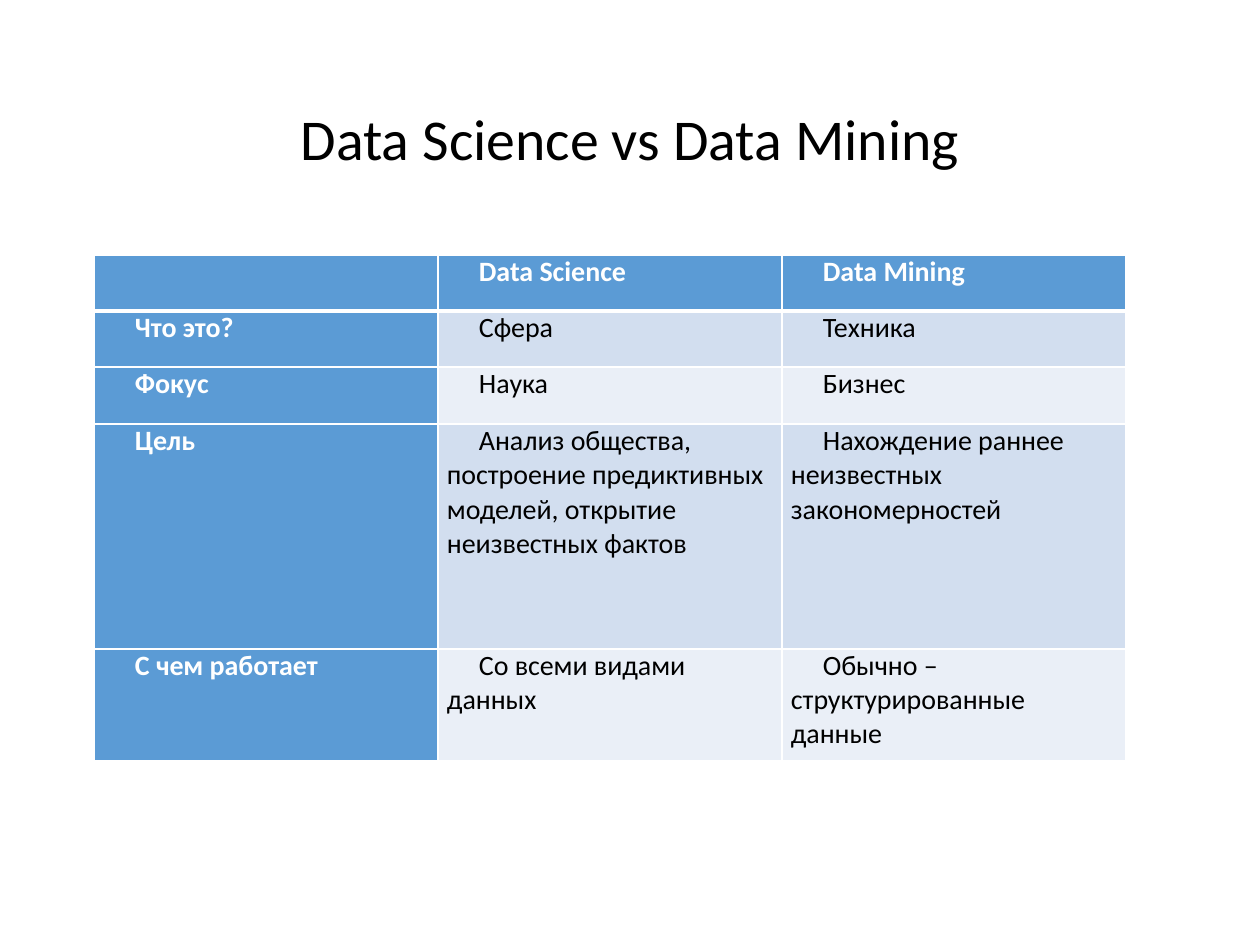
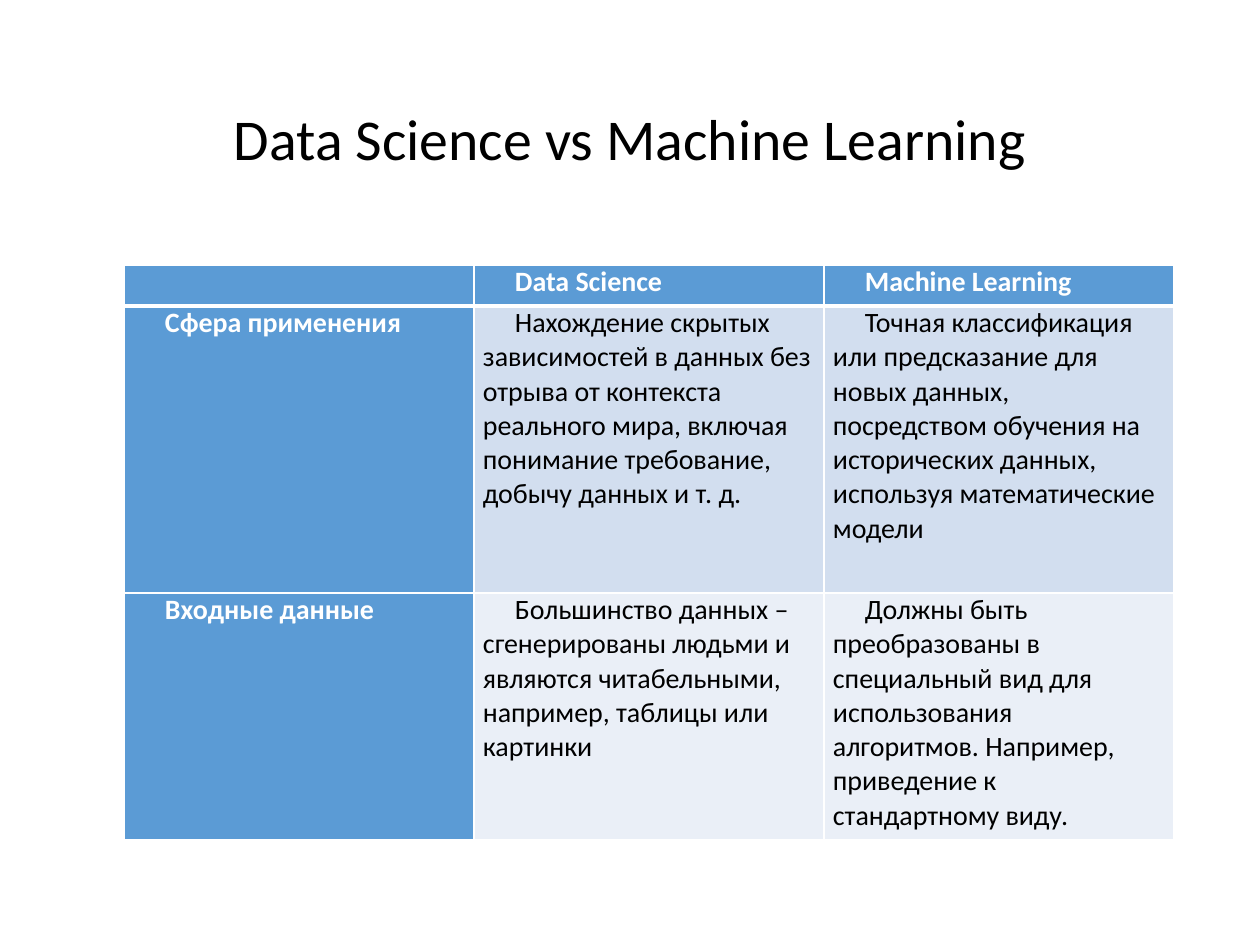
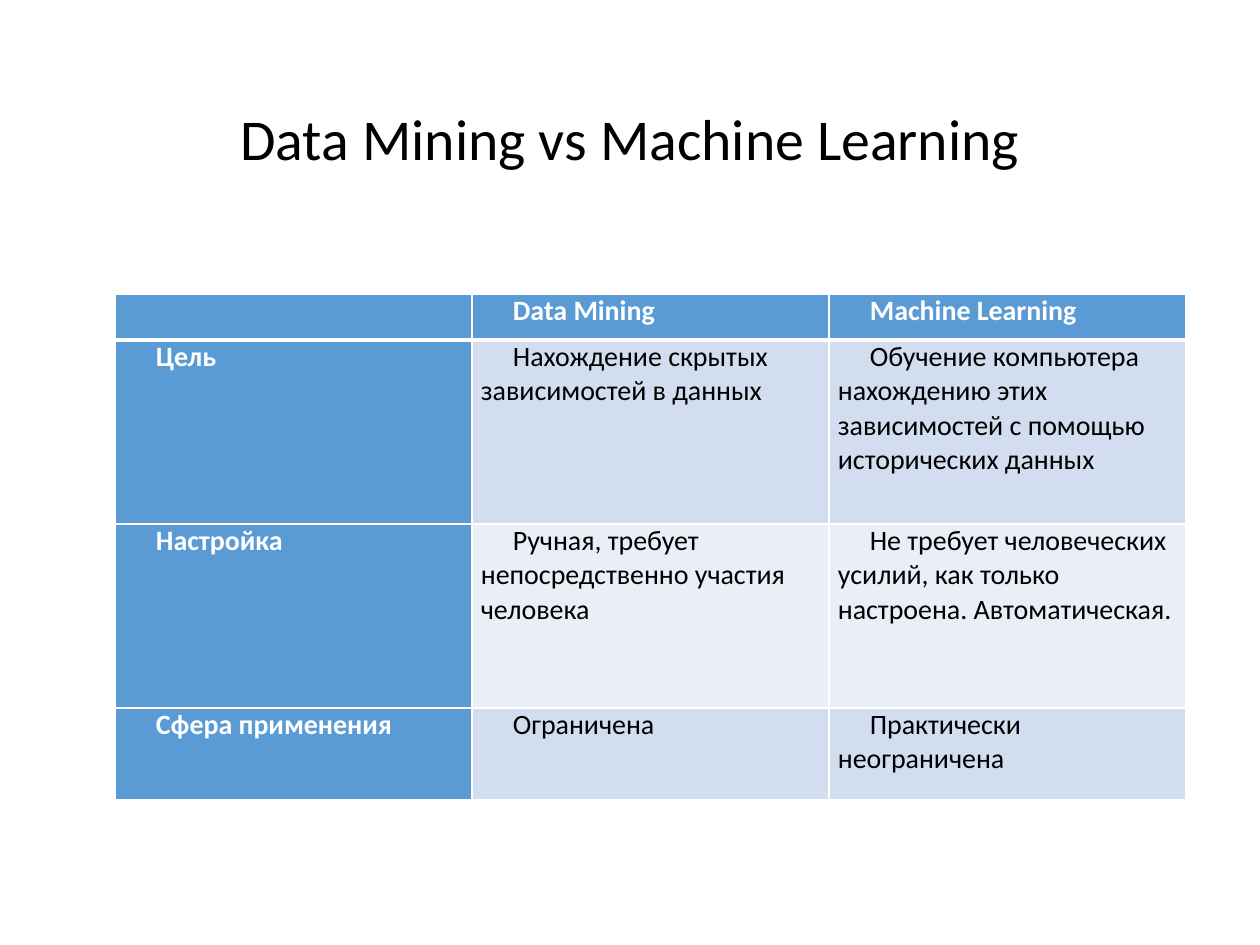
"""Build three slides that compare data disciplines in tables."""
from lxml import etree
from pptx import Presentation
from pptx.dml.color import RGBColor
from pptx.enum.text import MSO_ANCHOR, PP_ALIGN
from pptx.oxml.ns import qn
from pptx.util import Pt

MIDDLE = MSO_ANCHOR.MIDDLE
TOP = MSO_ANCHOR.TOP
CENTER = PP_ALIGN.CENTER
LEFT = PP_ALIGN.LEFT

SCALE = 914400 / 126
SLIDE_SIZE = (1260, 945)
TITLE_BOX = (87, 50, 1086, 183)
FONT = "Calibri"
COLORS = {
    "text": "000000",
    "light": "FFFFFF",
    "header": "5B9BD5",
    "odd_row": "D2DEEF",
    "even_row": "EAEFF7",
}

COMPARISONS = [
    {
        "title": "Data Science vs Data Mining",
        "origin": (94, 255),
        "column_width": 344,
        "row_heights": (56, 56, 57, 225, 112),
        "rows": [
            ("", "Data Science", "Data Mining"),
            ("Что это?", "Сфера", "Техника"),
            ("Фокус", "Наука", "Бизнес"),
            ("Цель",
             "Анализ общества, построение предиктивных моделей, открытие неизвестных фактов",
             "Нахождение раннее неизвестных закономерностей"),
            ("С чем работает", "Со всеми видами данных",
             "Обычно – структурированные данные"),
        ],
    },
    {
        "title": "Data Science vs Machine Learning",
        "origin": (124, 265),
        "column_width": 350,
        "row_heights": (41, 287, 247),
        "rows": [
            ("", "Data Science", "Machine Learning"),
            ("Сфера применения",
             "Нахождение скрытых зависимостей в данных без отрыва от контекста "
             "реального мира, включая понимание требование, добычу данных и т. д.",
             "Точная классификация или предсказание для новых данных, посредством "
             "обучения на исторических данных, используя математические модели"),
            ("Входные данные",
             "Большинство данных – сгенерированы людьми и являются читабельными, "
             "например, таблицы или картинки",
             "Должны быть преобразованы в специальный вид для использования "
             "алгоритмов. Например, приведение к стандартному виду."),
        ],
    },
    {
        "title": "Data Mining vs Machine Learning",
        "origin": (115, 294),
        "column_width": 357,
        "row_heights": (46, 184, 184, 92),
        "rows": [
            ("", "Data Mining", "Machine Learning"),
            ("Цель", "Нахождение скрытых зависимостей в данных",
             "Обучение компьютера нахождению этих зависимостей с помощью "
             "исторических данных"),
            ("Настройка", "Ручная, требует непосредственно участия человека",
             "Не требует человеческих усилий, как только настроена. Автоматическая."),
            ("Сфера применения", "Ограничена", "Практически неограничена"),
        ],
    },
]


def emu(pixels):
    return round(pixels * SCALE)


def color(name):
    return RGBColor.from_string(COLORS[name])


def write_text(frame, text, size=16, color_name="text", bold=False,
               align=LEFT, indent=0, spacing=1.0):
    paragraph = frame.paragraphs[0]
    paragraph.alignment = align
    paragraph.line_spacing = spacing
    properties = paragraph._p.get_or_add_pPr()
    properties.set("marL", "0")
    properties.set("indent", str(emu(indent)))
    if text:
        run = paragraph.add_run()
        run.text = text
        run.font.name = FONT
        run.font.size = Pt(size)
        run.font.bold = bold
        run.font.color.rgb = color(color_name)


def add_border(cell, side, width):
    line = etree.SubElement(cell._tc.get_or_add_tcPr(), qn(f"a:ln{side}"),
                            w=str(Pt(width)))
    fill = etree.SubElement(line, qn("a:solidFill"))
    etree.SubElement(fill, qn("a:srgbClr"), val=COLORS["light"])


class Deck:
    """Hold the shared style and the slide being built."""

    def __init__(self):
        self.presentation = Presentation()
        self.presentation.slide_width, self.presentation.slide_height = map(emu, SLIDE_SIZE)
        self.slide = None

    def add_slide(self):
        self.slide = self.presentation.slides.add_slide(self.presentation.slide_layouts[6])

    def add_title(self, text):
        frame = self.slide.shapes.add_textbox(*map(emu, TITLE_BOX)).text_frame
        frame.word_wrap = True
        frame.vertical_anchor = MIDDLE
        write_text(frame, text, size=33, align=CENTER, spacing=0.9)

    def add_comparison(self, origin, column_width, row_heights, rows):
        column_count = len(rows[0])
        box = (*origin, column_width * column_count, sum(row_heights))
        table = self.slide.shapes.add_table(len(rows), column_count, *map(emu, box)).table
        table.first_col = True
        for column in table.columns:
            column.width = emu(column_width)
        for row_index, (height, texts) in enumerate(zip(row_heights, rows)):
            table.rows[row_index].height = emu(height)
            for column_index, text in enumerate(texts):
                self.fill_cell(table.cell(row_index, column_index), text,
                               row_index, column_index)

    def fill_cell(self, cell, text, row_index, column_index):
        is_header = row_index == 0 or column_index == 0
        cell.margin_left = cell.margin_right = emu(9)
        cell.margin_top = cell.margin_bottom = 0
        cell.vertical_anchor = TOP
        widths = {"L": 1, "R": 1, "T": 3 if row_index == 1 else 1,
                  "B": 3 if row_index == 0 else 1}
        for side, width in widths.items():
            add_border(cell, side, width)
        band = "odd_row" if row_index % 2 else "even_row"
        cell.fill.solid()
        cell.fill.fore_color.rgb = color("header" if is_header else band)
        write_text(cell.text_frame, text, bold=is_header, indent=32,
                   color_name="light" if is_header else "text")


def main():
    deck = Deck()
    for comparison in COMPARISONS:
        deck.add_slide()
        deck.add_title(comparison["title"])
        deck.add_comparison(comparison["origin"], comparison["column_width"],
                            comparison["row_heights"], comparison["rows"])
    deck.presentation.save("out.pptx")


main()
